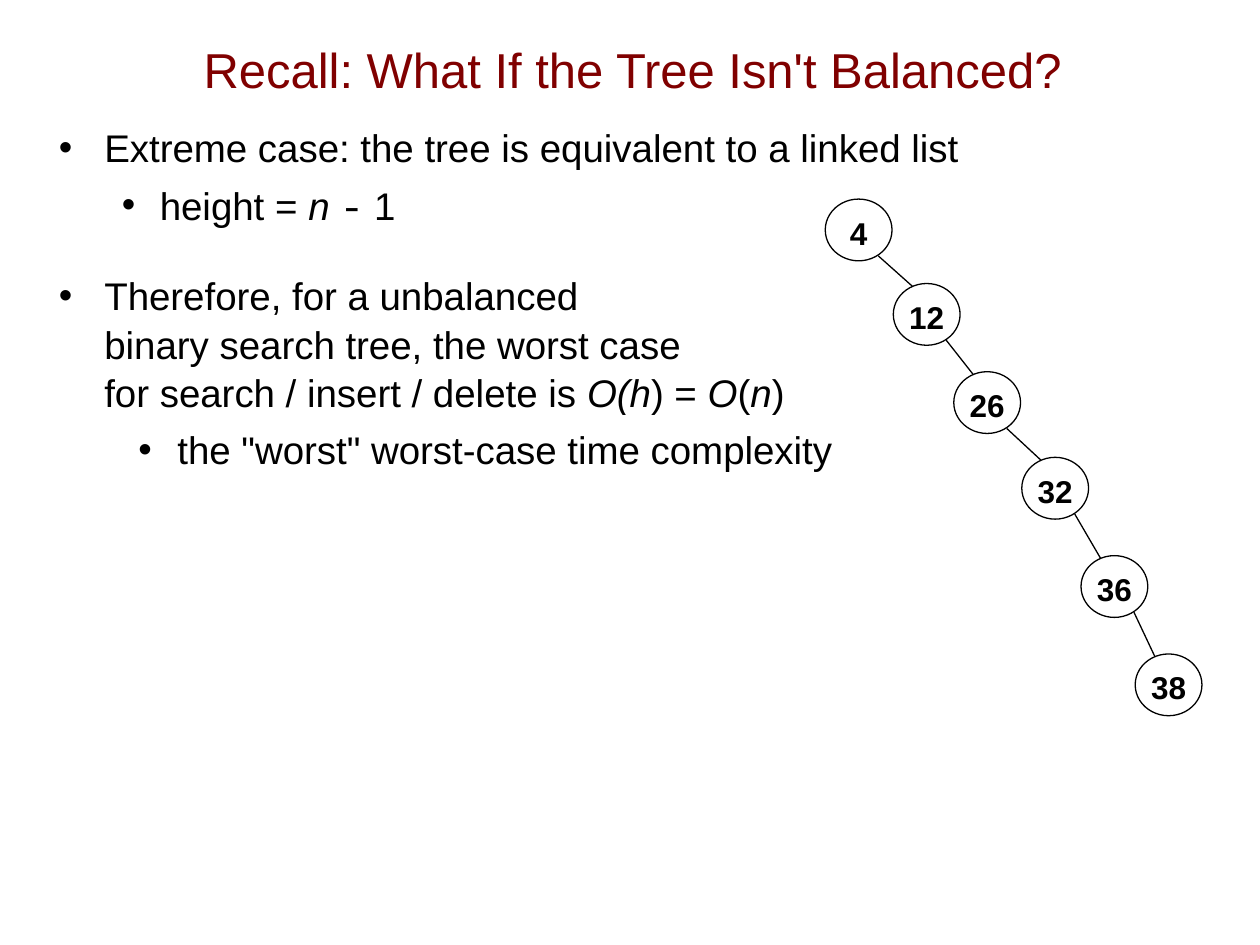
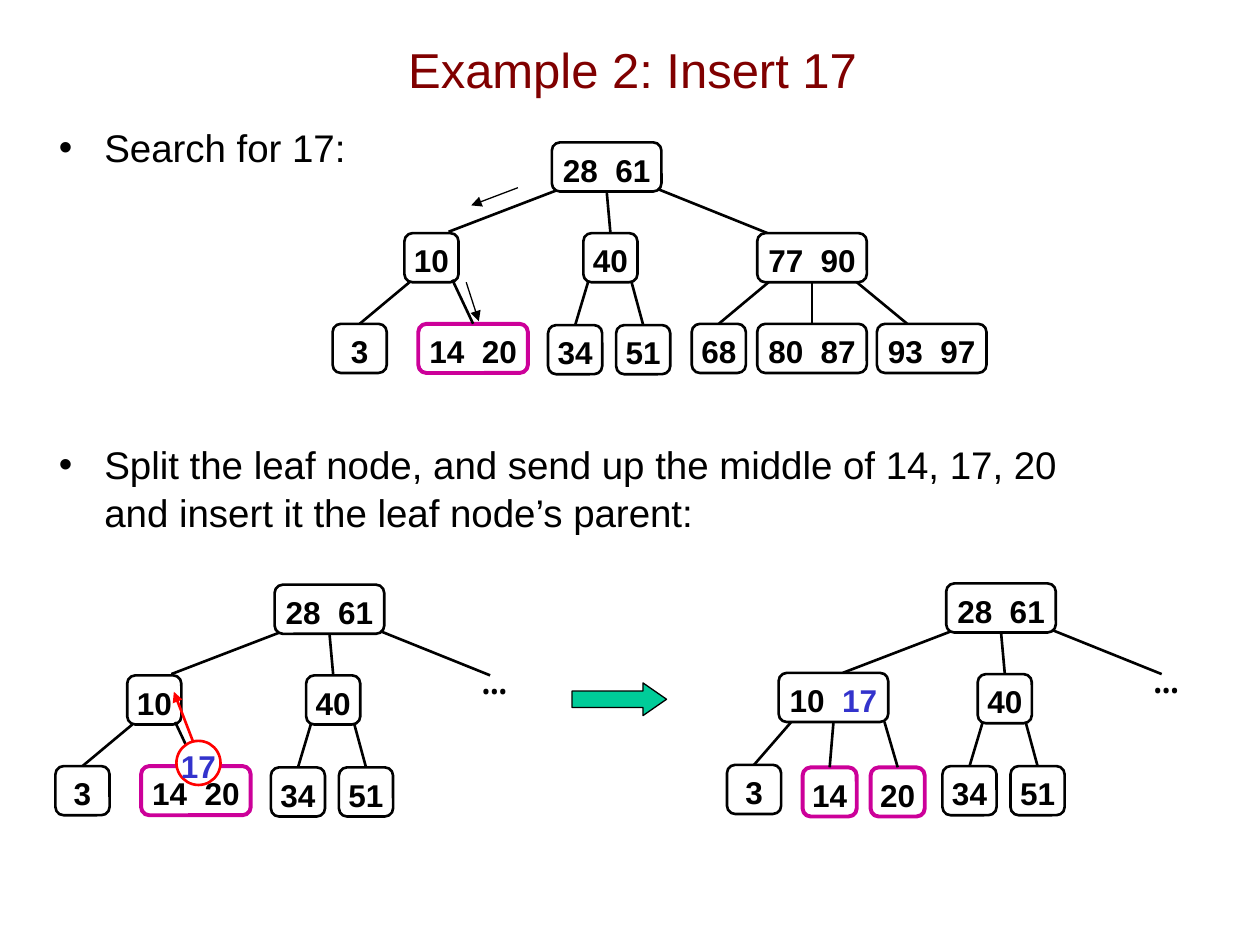
from dataclasses import dataclass

from lxml import etree
from pptx import Presentation
from pptx.dml.color import RGBColor
from pptx.enum import shapes, text
from pptx.oxml import ns
from pptx.util import Inches, Pt


@dataclass(frozen=True)
class Theme:
    ink: str = "000000"
    paper: str = "FFFFFF"
    title: str = "800000"
    visited: str = "CC0099"
    inserted: str = "3333CC"
    sent_up: str = "FF0000"
    step: str = "00CC99"
    font: str = "Arial"
    symbol_font: str = "Noto Sans Mono"
    title_size: int = 28
    body_size: int = 22
    key_size: int = 18
    dots_size: int = 24
    thin: float = 0.75
    medium: float = 1.5
    thick: float = 2.25


THEME = Theme()
ITALIC = {"italic": True}
SYMBOL = {"name": THEME.symbol_font}
CENTRED = {"alignment": text.PP_ALIGN.CENTER}
ROUND_RECT = shapes.MSO_SHAPE.ROUNDED_RECTANGLE
OVAL = shapes.MSO_SHAPE.OVAL
TOP, BOTTOM = 0, 2
NODE_HEIGHT = 0.39
NARROW, WIDE = 0.43, 0.87


def set_values(target, values):
    for name, value in values.items():
        setattr(target, name, value)


def add_xml(parent, tag, **attributes):
    return etree.SubElement(parent, ns.qn(tag), attributes)


class Deck:
    """Holds the theme and the slide that is being filled."""

    def __init__(self, theme):
        self.theme = theme
        self.file = Presentation()
        set_values(self.file, {"slide_width": Inches(10), "slide_height": Inches(7.5)})
        self.slide = None

    def new_slide(self, title):
        self.slide = self.file.slides.add_slide(self.file.slide_layouts[6])
        frame = self.text_frame(0.43, 0.08, 9.18, 0.93)
        frame.vertical_anchor = text.MSO_ANCHOR.MIDDLE
        set_values(frame.paragraphs[0], CENTRED)
        self.add_run(frame.paragraphs[0], title, self.theme.title_size, self.theme.title)

    def text_frame(self, left, top, width, height):
        box = self.slide.shapes.add_textbox(*map(Inches, (left, top, width, height)))
        box.text_frame.word_wrap = True
        return box.text_frame

    def add_run(self, paragraph, words, size, color=None, **font_values):
        run = paragraph.add_run()
        run.text = words
        set_values(run.font, {"name": self.theme.font, "size": Pt(size), **font_values})
        run.font.color.rgb = RGBColor.from_string(color or self.theme.ink)
        return run

    def bullets(self, items):
        """Each item: level, left margin, hanging indent, space before, segments."""
        frame = self.text_frame(0.37, 0.92, 9.63, 6.14)
        for number, (level, margin, hanging, before, segments) in enumerate(items):
            paragraph = frame.add_paragraph() if number else frame.paragraphs[0]
            properties = paragraph._p.get_or_add_pPr()
            properties.set("marL", str(Inches(margin)))
            properties.set("indent", str(-Inches(hanging)))
            color = add_xml(properties, "a:buClr")
            add_xml(color, "a:srgbClr", val=self.theme.ink)
            add_xml(properties, "a:buFont", typeface=self.theme.font)
            add_xml(properties, "a:buChar", char="•")
            set_values(paragraph, {"level": level, "line_spacing": 1.05,
                                   "space_before": Pt(before)})
            for words, font_values in segments:
                for index, line in enumerate(words.split("\n")):
                    if index:
                        paragraph.add_line_break()
                    self.add_run(paragraph, line, self.theme.body_size, **font_values)

    def shape(self, kind, left, top, width, height, fill, line, weight):
        shape = self.slide.shapes.add_shape(
            kind, *map(Inches, (left, top, width, height)))
        shape.shadow.inherit = False
        shape.fill.solid()
        shape.fill.fore_color.rgb = RGBColor.from_string(fill)
        shape.line.color.rgb = RGBColor.from_string(line)
        shape.line.width = Pt(weight)
        return shape

    def node(self, kind, left, top, width, height, keys, line=None, weight=None,
             new_key=None):
        """Tree node whose keys stand side by side; new_key is coloured."""
        theme = self.theme
        node = self.shape(kind, left, top, width, height, theme.paper,
                          line or theme.ink, weight or theme.medium)
        set_values(node.text_frame, {
            "margin_left": 0, "margin_right": 0, "margin_top": Inches(0.04),
            "margin_bottom": 0, "word_wrap": False,
            "vertical_anchor": text.MSO_ANCHOR.MIDDLE})
        paragraph = node.text_frame.paragraphs[0]
        set_values(paragraph, CENTRED)
        for index, key in enumerate(keys):
            if index:
                gap = self.add_run(paragraph, " ", theme.key_size, bold=True)
                gap._r.get_or_add_rPr().set("spc", "500")
            color = theme.inserted if key == new_key else theme.ink
            self.add_run(paragraph, str(key), theme.key_size, color, bold=True)
        return node

    def box(self, left, top, *keys, visited=False, new_key=None):
        theme = self.theme
        style = {"line": theme.visited, "weight": theme.thick} if visited else {}
        return self.node(ROUND_RECT, left, top, WIDE if len(keys) > 1 else NARROW,
                         NODE_HEIGHT, keys, new_key=new_key, **style)

    def link(self, start, end, color=None, weight=None, arrow=False):
        """Joins two ends; each is a point, or a node met at its bottom or top."""
        points = [end_ if isinstance(end_, tuple) else (0, 0) for end_ in (start, end)]
        line = self.slide.shapes.add_connector(
            shapes.MSO_CONNECTOR.STRAIGHT, *map(Inches, points[0] + points[1]))
        if not isinstance(start, tuple):
            line.begin_connect(start, BOTTOM)
        if not isinstance(end, tuple):
            line.end_connect(end, TOP)
        line.line.color.rgb = RGBColor.from_string(color or self.theme.ink)
        line.line.width = Pt(weight or self.theme.medium)
        if arrow:
            add_xml(line.line._get_or_add_ln(), "a:tailEnd", type="triangle")
        add_xml(line._element.spPr, "a:effectLst")

    def dots(self, left, top):
        paragraph = self.text_frame(left, top, 0.41, 0.5).paragraphs[0]
        set_values(paragraph, CENTRED)
        self.add_run(paragraph, "…", self.theme.dots_size, **SYMBOL)

    def common_tree(self, x, y):
        """Parts of the search tree that the insertion leaves unchanged."""
        root = self.box(x + 1.74, y, 28, 61)
        middle = self.box(x + 1.99, y + 0.72, 40)
        self.link((x + 1.78, y + 0.38), (x + 0.92, y + 0.71))
        self.link(root, middle)
        self.link((x + 2.58, y + 0.37), (x + 3.45, y + 0.72))
        for key, offset, start in ((34, 1.71, 2.03), (51, 2.25, 2.37)):
            leaf = self.box(x + offset, y + 1.45, key)
            self.link((x + start, y + 1.1), leaf)
        return self.box(x, y + 1.44, 3)

    def tree_before_split(self, x, y):
        leaf_3 = self.common_tree(x, y)
        self.box(x + 0.57, y + 0.72, 10)
        self.link((x + 0.61, y + 1.11), leaf_3)
        full_leaf = self.box(x + 0.68, y + 1.44, 14, 20, visited=True)
        self.link((x + 0.95, y + 1.09), full_leaf)


def unbalanced_slide(deck):
    deck.new_slide("Recall: What If the Tree Isn't Balanced?")
    deck.bullets([
        (0, 0.36, 0.36, 0,
         [("Extreme case: the tree is equivalent to a linked list", {})]),
        (1, 0.8, 0.3, 5,
         [("height = ", {}), ("n ", ITALIC), ("-", SYMBOL), (" 1", {})]),
        (0, 0.36, 0.36, 24,
         [("Therefore, for a unbalanced\nbinary search tree, the worst case\n"
           "for search / insert / delete is ", {}),
          ("O(h", ITALIC), (") = ", {}), ("O", ITALIC), ("(", {}),
          ("n", ITALIC), (")", {})]),
        (1, 0.94, 0.31, 5, [('the "worst" worst-case time complexity', {})]),
    ])
    chain = [(4, 6.55, 1.58), (12, 7.09, 2.25), (26, 7.57, 2.95),
             (32, 8.11, 3.63), (36, 8.58, 4.41), (38, 9.01, 5.19)]
    for (_, x, y), (_, child_x, child_y) in zip(chain, chain[1:]):
        deck.link((x + 0.42, y + 0.45), (child_x + 0.16, child_y + 0.03),
                  weight=THEME.thin)
    for key, x, y in chain:
        deck.node(OVAL, x, y, 0.53, 0.49, [key], weight=THEME.thin)


def insert_slide(deck):
    deck.new_slide("Example 2: Insert 17")
    deck.bullets([
        (0, 0.36, 0.36, 0, [("Search for 17:", {})]),
        (0, 0.36, 0.36, 153,
         [("Split the leaf node, and send up the middle of 14, 17, 20\n"
           "and insert it the leaf node’s parent:", {})]),
    ])

    # Search path in the whole tree
    deck.tree_before_split(2.64, 1.13)
    right = deck.box(6.01, 1.85, 77, 90)
    leaf_68 = deck.box(5.49, 2.57, 68)
    leaf_80 = deck.box(6.01, 2.57, 80, 87)
    deck.box(6.96, 2.57, 93, 97)
    deck.link((6.1, 2.24), leaf_68)
    deck.link(right, leaf_80)
    deck.link((6.8, 2.24), (7.2, 2.57))
    for start, end in (((4.11, 1.49), (3.74, 1.63)), ((3.7, 2.24), (3.8, 2.55))):
        deck.link(start, end, weight=THEME.thin, arrow=True)

    # Leaf overflows and sends 17 up
    deck.tree_before_split(0.44, 4.64)
    deck.dots(3.72, 5.13)
    deck.node(OVAL, 1.4, 5.88, 0.35, 0.35, [17], line=THEME.sent_up, new_key=17)
    deck.link((1.53, 5.88), (1.38, 5.49), color=THEME.sent_up, arrow=True)

    deck.shape(shapes.MSO_SHAPE.RIGHT_ARROW, 4.54, 5.42, 0.75, 0.26,
               THEME.step, THEME.ink, THEME.thin).adjustments[1] = 0.72

    # Leaf after the split
    leaf_3 = deck.common_tree(5.77, 4.63)
    parent = deck.box(6.18, 5.34, 10, 17, new_key=17)
    leaf_14 = deck.box(6.37, 6.09, 14, visited=True)
    leaf_20 = deck.box(6.91, 6.09, 20, visited=True)
    deck.link((6.28, 5.73), leaf_3)
    deck.link(parent, leaf_14)
    deck.link((7.02, 5.73), leaf_20)
    deck.dots(9.05, 5.12)


def main():
    deck = Deck(THEME)
    unbalanced_slide(deck)
    insert_slide(deck)
    deck.file.save("out.pptx")


if __name__ == "__main__":
    main()
